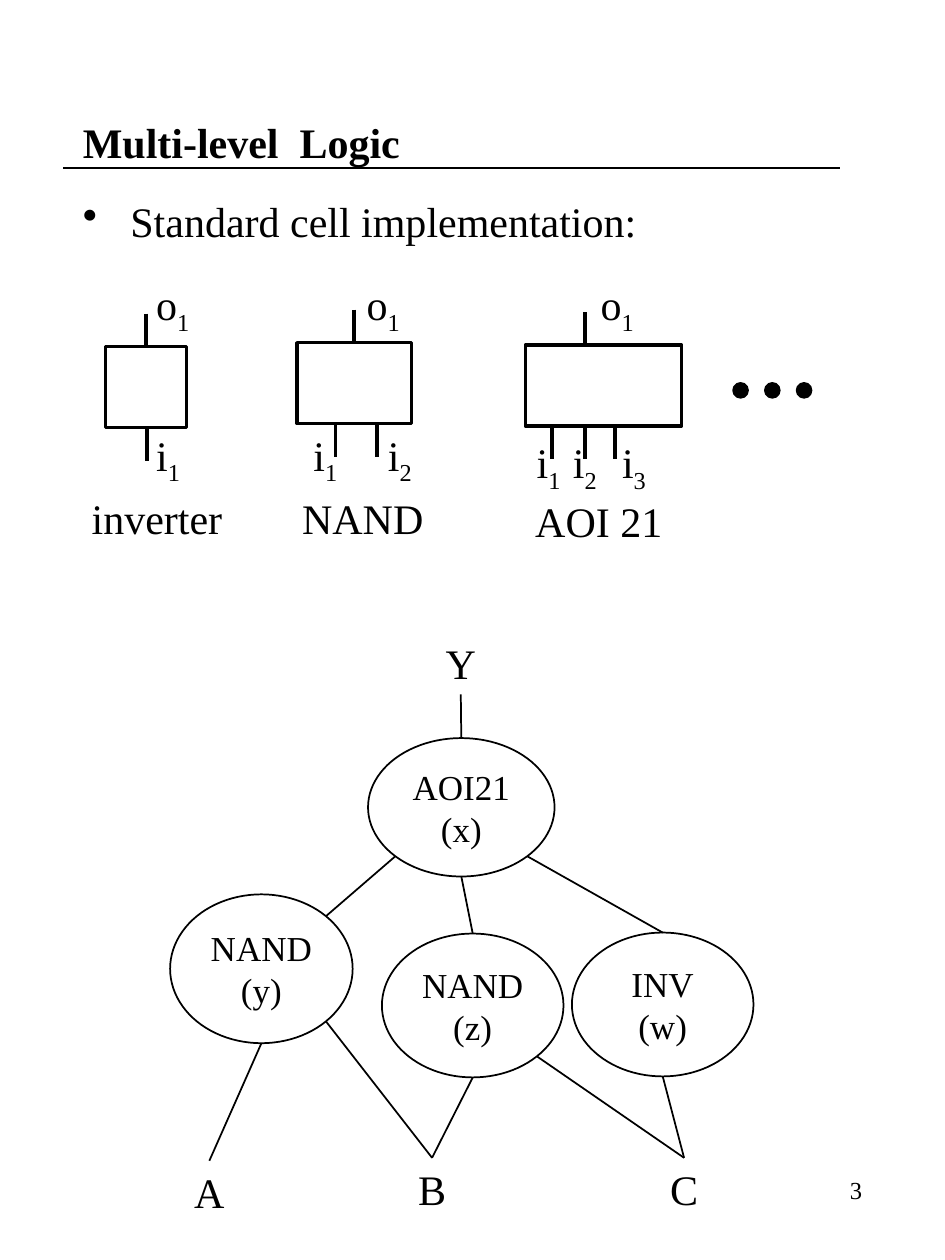
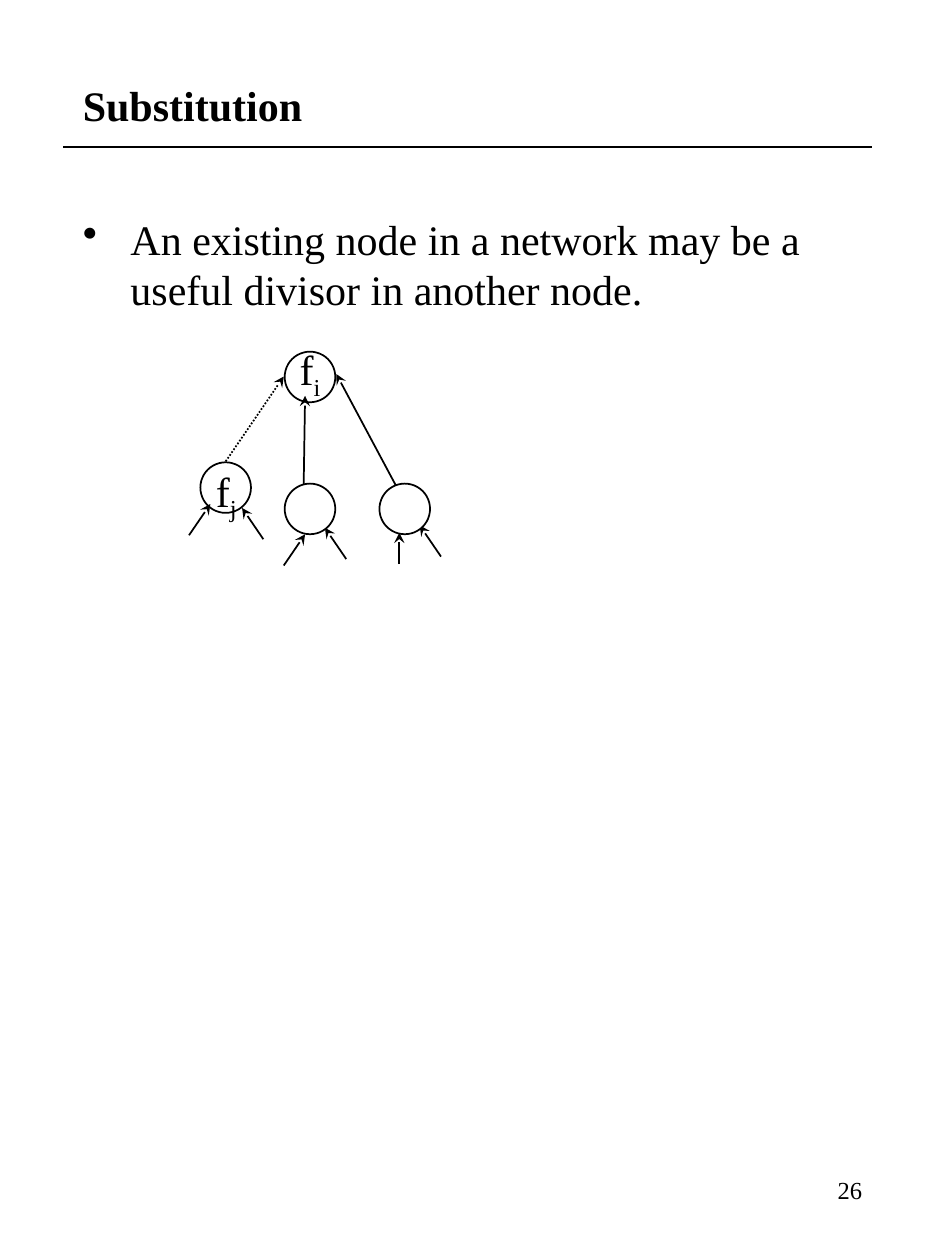
from dataclasses import dataclass
from math import cos, radians, sin

from lxml.etree import SubElement
from pptx import Presentation
from pptx.dml.color import RGBColor
from pptx.enum.dml import MSO_LINE_DASH_STYLE as Dash
from pptx.enum.shapes import MSO_CONNECTOR as Connector, MSO_SHAPE as Shape
from pptx.enum.text import MSO_ANCHOR as Anchor, PP_ALIGN as Align
from pptx.oxml.ns import qn
from pptx.util import Cm, Pt


@dataclass(frozen=True)
class Theme:
    font: str = "Times New Roman"
    ink: RGBColor = RGBColor(0, 0, 0)
    paper: RGBColor = RGBColor(255, 255, 255)
    text: int = 24
    node: int = 20
    number: int = 14
    thin: int = 1
    thick: int = 2


theme = Theme()


def write(page, text, left, top, width, height, *, shape=None, fill=theme.paper,
          outline=theme.thin, size=theme.text, bold=False, align=Align.LEFT,
          anchor=Anchor.TOP, bullet=False, spacing=None):
    place = Cm(left), Cm(top), Cm(width), Cm(height)
    if shape is None:
        box = page.shapes.add_textbox(*place)
    else:
        box = page.shapes.add_shape(shape, *place)
        box.shadow.inherit = False
        box.fill.solid()
        box.fill.fore_color.rgb = fill
        box.line.color.rgb = theme.ink
        box.line.width = Pt(outline)
    frame = box.text_frame
    frame.word_wrap = "_" not in text
    frame.vertical_anchor = anchor
    for index, line in enumerate(text.split("\n") if text else []):
        para = frame.add_paragraph() if index else frame.paragraphs[0]
        para.alignment = align
        if spacing:
            para.line_spacing = spacing
        if bullet:
            properties = para._p.get_or_add_pPr()
            properties.set("marL", str(Cm(0.96)))
            properties.set("indent", str(-Cm(0.96)))
            SubElement(properties, qn("a:buChar")).set("char", "•")
        for position, part in enumerate(line.split("_")):
            span = para.add_run()
            span.text = part
            span.font.name = theme.font
            span.font.size = Pt(size)
            span.font.bold = bold
            span.font.color.rgb = theme.ink
            if position:
                span._r.get_or_add_rPr().set("baseline", "-25000")
    return box


def join(page, start, end, *, width=theme.thin, arrow=False, dash=None):
    line = page.shapes.add_connector(Connector.STRAIGHT, Cm(start[0]), Cm(start[1]),
                                     Cm(end[0]), Cm(end[1]))
    line.line.color.rgb = theme.ink
    line.line.width = Pt(width)
    if dash:
        line.line.dash_style = dash
    if arrow:
        SubElement(line.line._get_or_add_ln(), qn("a:tailEnd")).set("type", "stealth")
    SubElement(line._element.spPr, qn("a:effectLst"))


deck = Presentation()
deck.slide_width, deck.slide_height = Cm(19.05), Cm(25.4)

outlines = [
    ("Multi-level  Logic", 1.27, 3.18, 3.39, 16.94,
     "Standard cell implementation:", 3.81, 16.18, 18.77, "3"),
    ("Substitution", 0, 4.24, 2.97, 17.58,
     "An existing node in a network may be a useful divisor in another node.",
     4.17, 16.76, 2.39, "26"),
]
pages = []
for (title, title_top, title_height, rule_top, rule_end,
     point, body_top, body_width, body_height, number) in outlines:
    page = deck.slides.add_slide(deck.slide_layouts[6])
    write(page, title, 1.42, title_top, 16.18, title_height, bold=True, anchor=Anchor.MIDDLE)
    write(page, point, 1.42, body_top, body_width, body_height, bullet=True)
    join(page, (1.27, rule_top), (rule_end, rule_top))
    write(page, number, 13.67, 23.14, 3.96, 1.7, size=theme.number,
          align=Align.RIGHT, anchor=Anchor.MIDDLE)
    pages.append(page)
logic_page, substitution_page = pages

gate_height, pin_length = 1.63, 0.67
gates = [
    ("inverter", 2.13, 6.99, 1.63, 2.94, 2.9, [2.96], [2.9], 8.53, 1.6, 9.8),
    ("NAND", 5.99, 6.91, 2.31, 7.14, 7.14, [6.76, 7.6], [6.07, 7.57], 8.53, 5.84, 9.8),
    ("AOI 21", 10.59, 6.96, 3.15, 11.79, 11.86, [11.13, 11.79, 12.4],
     [10.57, 11.3, 12.29], 8.68, 10.54, 9.86),
]
for (name, left, top, width, output, output_label, inputs, input_labels,
     label_top, caption_left, caption_top) in gates:
    bottom = top + gate_height
    write(logic_page, "", left, top, width, gate_height, shape=Shape.RECTANGLE,
          outline=theme.thick)
    join(logic_page, (output, top - pin_length), (output, top), width=theme.thick)
    write(logic_page, "o_1", output_label, 5.49, 1.17, 1.42)
    for index, (pin, label) in enumerate(zip(inputs, input_labels), 1):
        join(logic_page, (pin, bottom), (pin, bottom + pin_length), width=theme.thick)
        write(logic_page, f"i_{index}", label, label_top, 0.99, 1.42)
    write(logic_page, name, caption_left, caption_top, 3.58, 1.27)

for index in range(3):
    write(logic_page, "", 14.78 + 0.64 * index, 7.72, 0.3, 0.3, shape=Shape.OVAL,
          fill=theme.ink)

port_angles = {"bottom right": 45, "bottom": 90, "bottom left": 135,
               "top": 270, "top right": 315}
nodes = [
    ("x", "AOI21 (x)", 7.42, 14.88, 3.76, 2.79),
    ("y", "NAND\n(y)", 3.43, 18.03, 3.68, 3),
    ("z", "NAND\n(z)", 7.7, 18.82, 3.66, 2.9),
    ("w", "INV\n(w)", 11.53, 18.8, 3.66, 2.9),
]
ports = {}
for name, text, left, top, width, height in nodes:
    write(logic_page, text, left, top, width, height, shape=Shape.OVAL, size=theme.node,
          align=Align.CENTER, anchor=Anchor.MIDDLE)
    for side, angle in port_angles.items():
        ports[f"{name} {side}"] = (left + width / 2 * (1 + cos(radians(angle))),
                                   top + height / 2 * (1 + sin(radians(angle))))

terminals = [("Y", 9.29, 14, 12.73), ("A", 4.22, 23.4, 23.4),
             ("B", 8.71, 23.34, 23.34), ("C", 13.79, 23.34, 23.34)]
for name, center, end, label_top in terminals:
    write(logic_page, name, center - 1, label_top, 2, 1.27, align=Align.CENTER)
    ports[name] = (center, end)

wires = [("Y", "x top"), ("x bottom left", "y top right"), ("x bottom", "z top"),
         ("x bottom right", "w top"), ("y bottom", "A"), ("y bottom right", "B"),
         ("z bottom", "B"), ("z bottom right", "C"), ("w bottom", "C")]
for start, end in wires:
    join(logic_page, ports[start], ports[end])

circle = 1.02
for left, top in [(5.74, 7.09), (4.04, 9.32)]:
    write(substitution_page, "", left, top, circle, circle, shape=Shape.OVAL)

join(substitution_page, (6.12, 9.88), (6.15, 7.98), arrow=True)
join(substitution_page, (8.03, 9.88), (6.78, 7.54), arrow=True)
join(substitution_page, (4.55, 9.3), (5.72, 7.59), arrow=True, dash=Dash.ROUND_DOT)

fanins = [(4.24, 10.16, -0.43), (4.88, 10.24, 0.43), (6.15, 10.77, -0.43),
          (6.55, 10.64, 0.43), (8.05, 10.74, 0), (8.46, 10.59, 0.43)]
for tip_left, tip_top, drift in fanins:
    join(substitution_page, (tip_left + drift, tip_top + 0.63), (tip_left, tip_top), arrow=True)

for left in (5.74, 7.65):
    write(substitution_page, "", left, 9.75, circle, circle, shape=Shape.OVAL)

write(substitution_page, "f_i", 5.79, 6.81, 0.94, 1.42)
write(substitution_page, "f_j", 4.09, 9.14, 0.94, 1.52, align=Align.CENTER, spacing=1.1)

deck.save("out.pptx")
